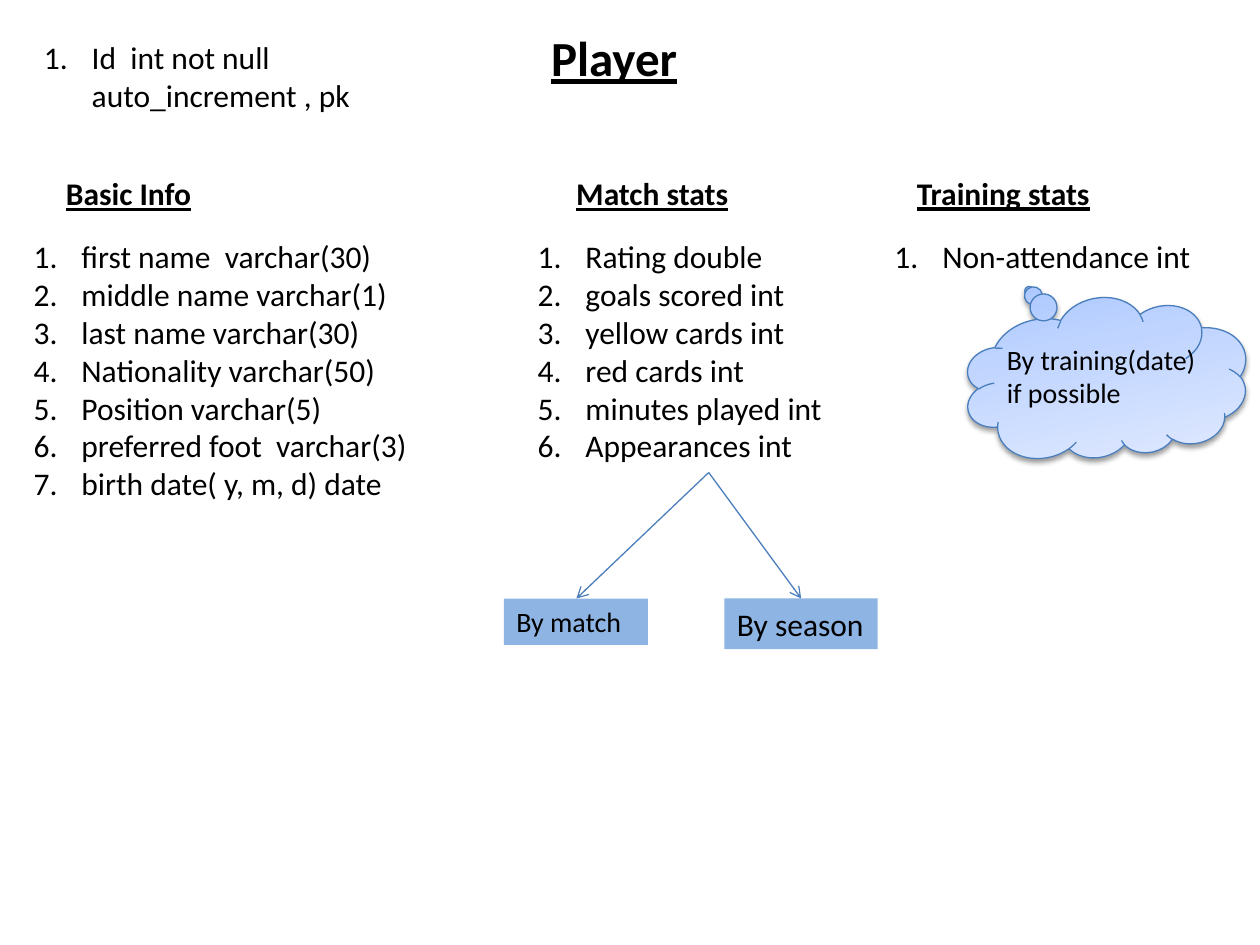
import copy
import dataclasses
import typing

import lxml.etree
import pptx
import pptx.dml.color
import pptx.enum.dml
import pptx.enum.shapes
import pptx.enum.text
import pptx.oxml.ns
import pptx.util

COLOURS = {"text": "000000", "line": "4B7EBC", "label": "8EB4E3"}
CLOUD_STOPS = [(0, "A4C4FF"), (0.35, "BFD4FF"), (1, "E6EEFF")]
FONT = "Calibri"
CELL = pptx.util.Inches(10) // 120  # the slide is 120 columns by 90 rows
LIST_INDENT = pptx.util.Inches(0.38)
HEADING_ROW, LIST_ROW, FORK_ROW, LABEL_ROW = 16, 22, 45, 57
FORK_COLUMN = 67.5


@dataclasses.dataclass
class TextBlock:
    """Text with its place on the grid; a placeholder index of None means a text box."""
    lines: list[str]
    column: float
    row: float
    width: float
    placeholder: typing.Optional[int] = None
    size: int = 18
    heading: bool = False
    numbered: bool = False
    rows_of_text: int = 0
    wrap: bool = True
    fill: typing.Optional[str] = None

    @property
    def height(self) -> float:
        """Rows needed by the text and its margins."""
        return (self.rows_of_text or len(self.lines)) * self.size * 0.2017 + 1.2


def rgb(value: str) -> pptx.dml.color.RGBColor:
    """Turn a hex string into a colour."""
    return pptx.dml.color.RGBColor.from_string(value)


def cells(*counts: float) -> list[int]:
    """Turn grid counts into lengths."""
    return [round(count * CELL) for count in counts]


def add_child(parent, tag: str, **attributes: str):
    """Append a drawing element to the parent."""
    return lxml.etree.SubElement(parent, pptx.oxml.ns.qn(tag), attributes)


def format_paragraph(para, block: TextBlock) -> None:
    """Set spacing, numbering and font of one paragraph."""
    align = pptx.enum.text.PP_ALIGN
    para.alignment = align.CENTER if block.heading else align.LEFT
    para.space_before = pptx.util.Pt(0)
    if block.numbered:
        properties = para._p.get_or_add_pPr()
        properties.set("marL", str(LIST_INDENT))
        properties.set("indent", str(-LIST_INDENT))
        add_child(properties, "a:buFont", typeface="+mj-lt")
        add_child(properties, "a:buAutoNum", type="arabicPeriod")
    for span in para.runs:
        span.font.name = FONT
        span.font.size = pptx.util.Pt(block.size)
        span.font.bold = span.font.underline = block.heading
        span.font.color.rgb = rgb(COLOURS["text"])


def add_text(page, block: TextBlock) -> None:
    """Place a text block in its placeholder, a filled label or a text box."""
    area = cells(block.column, block.row, block.width, block.height)
    if block.placeholder is not None:
        box = page.placeholders[block.placeholder]
        box.left, box.top, box.width, box.height = area
    elif block.fill:
        box = page.shapes.add_shape(pptx.enum.shapes.MSO_SHAPE.RECTANGLE, *area)
        box.shadow.inherit = False
        box.fill.solid()
        box.fill.fore_color.rgb = rgb(block.fill)
        box.line.fill.background()
    else:
        box = page.shapes.add_textbox(*area)
    frame = box.text_frame
    frame.text = "\n".join(block.lines)
    frame.word_wrap = block.wrap
    frame.auto_size = pptx.enum.text.MSO_AUTO_SIZE.SHAPE_TO_FIT_TEXT
    frame.vertical_anchor = pptx.enum.text.MSO_ANCHOR.TOP
    for para in frame.paragraphs:
        format_paragraph(para, block)


def style_line(line) -> None:
    """Give an outline the common colour and width."""
    line.color.rgb = rgb(COLOURS["line"])
    line.width = pptx.util.Pt(0.75)


def add_arrow(page, column: float) -> None:
    """Draw an arrow from the fork point to a label."""
    arrow = page.shapes.add_connector(
        pptx.enum.shapes.MSO_CONNECTOR.STRAIGHT,
        *cells(FORK_COLUMN, FORK_ROW, column, LABEL_ROW))
    style_line(arrow.line)
    add_child(arrow.line._get_or_add_ln(), "a:tailEnd", type="arrow")
    add_child(arrow._element.spPr, "a:effectLst")


def add_cloud(page) -> None:
    """Draw the turned thought cloud with its gradient and shadow."""
    cloud = page.shapes.add_shape(
        pptx.enum.shapes.MSO_SHAPE.CLOUD_CALLOUT, *cells(91.9, 28.4, 26.9, 15.4))
    cloud.rotation = 169.1
    properties = cloud._element.spPr
    properties.xfrm.set("flipH", "1")
    cloud.fill.gradient()
    cloud.fill.gradient_angle = 90
    last_stop = properties.findall(".//" + pptx.oxml.ns.qn("a:gs"))[-1]
    last_stop.addnext(copy.deepcopy(last_stop))
    for stop, (position, colour) in zip(cloud.fill.gradient_stops, CLOUD_STOPS):
        stop.position = position
        stop.color.rgb = rgb(colour)
    style_line(cloud.line)
    effects = add_child(properties, "a:effectLst")
    shadow = add_child(effects, "a:outerShdw", blurRad=str(pptx.util.Pt(3.1)),
                       dist=str(pptx.util.Pt(1.6)), dir="5400000", rotWithShape="0")
    black = add_child(shadow, "a:srgbClr", val=COLOURS["text"])
    add_child(black, "a:alpha", val="38000")


BLOCKS = [
    TextBlock(["Id  int not null auto_increment , pk"], 3, 3, 36,
              numbered=True, rows_of_text=2),
    TextBlock(["Player"], 29, 2, 59, placeholder=0, size=28, heading=True),
    TextBlock(["Basic Info"], 2, HEADING_ROW, 20.5, placeholder=1, heading=True),
    TextBlock(["first name  varchar(30)", "middle name varchar(1)",
               "last name varchar(30)", "Nationality varchar(50)",
               "Position varchar(5)", "preferred foot  varchar(3)",
               "birth date( y, m, d) date"],
              2, LIST_ROW, 40, placeholder=2, numbered=True),
    TextBlock(["Match stats"], 50, HEADING_ROW, 24.25, placeholder=3, heading=True),
    TextBlock(["Rating double", "goals scored int", "yellow cards int",
               "red cards int", "minutes played int", "Appearances int"],
              50, LIST_ROW, 35, placeholder=4, numbered=True),
    TextBlock(["Training stats"], 85, HEADING_ROW, 21.1, heading=True),
    TextBlock(["Non-attendance int"], 84, LIST_ROW, 33, numbered=True),
    TextBlock(["By match"], 48, LABEL_ROW, 13.7, size=16, fill=COLOURS["label"]),
    TextBlock(["By season"], 69, LABEL_ROW, 14.6, wrap=False, fill=COLOURS["label"]),
]
CLOUD_NOTE = TextBlock(["By training(date) if possible"], 94.7, 32, 22,
                       size=16, rows_of_text=2)


def main() -> None:
    """Build the slide and save it."""
    deck = pptx.Presentation()
    deck.slide_width, deck.slide_height = cells(120, 90)
    page = deck.slides.add_slide(deck.slide_layouts.get_by_name("Comparison"))
    for block in BLOCKS:
        add_text(page, block)
    for column in (54.9, 76.3):
        add_arrow(page, column)
    add_cloud(page)
    add_text(page, CLOUD_NOTE)
    deck.save("out.pptx")


main()
